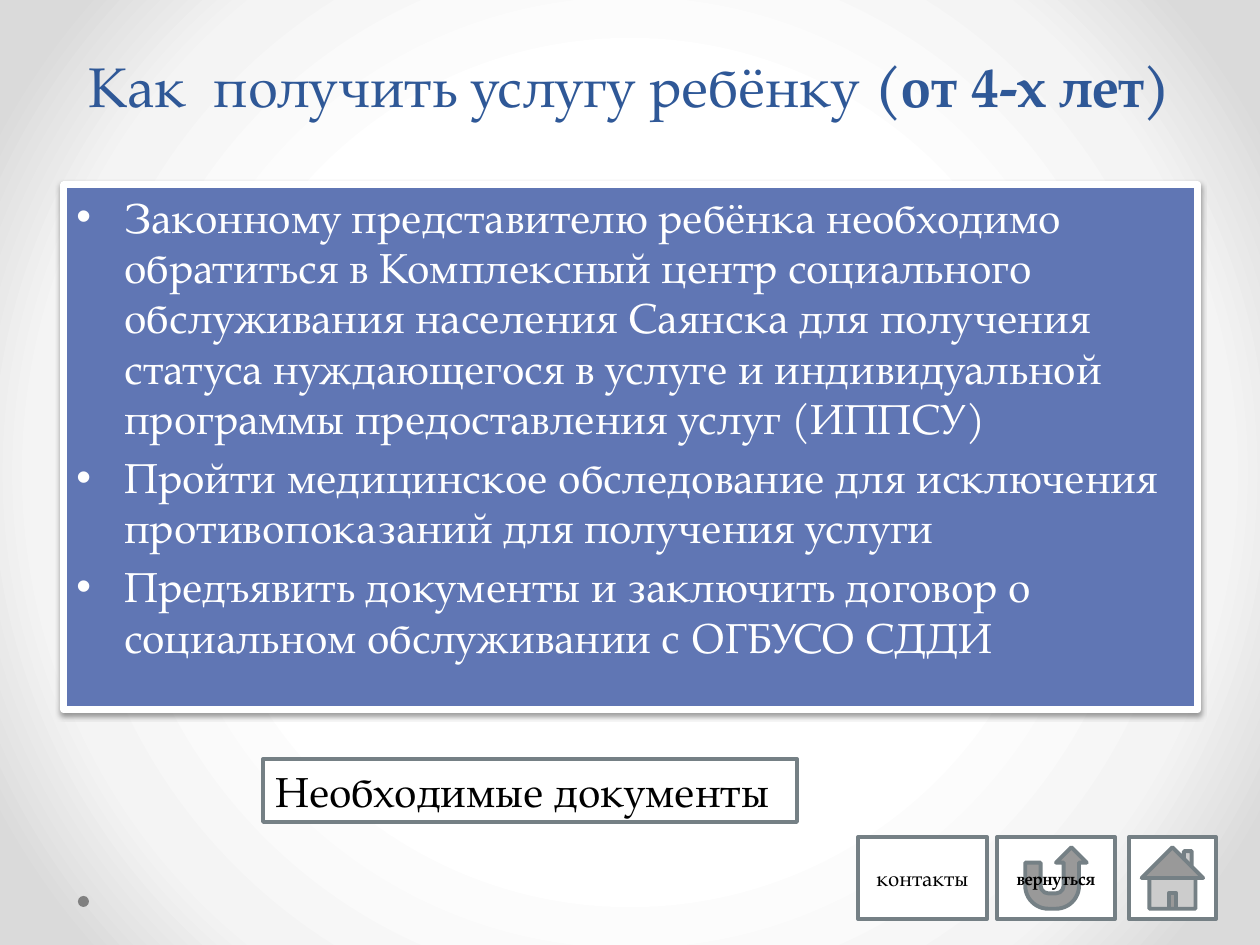
from lxml import etree
from pptx import Presentation
from pptx.dml.color import RGBColor
from pptx.enum.shapes import MSO_SHAPE as SHAPE
from pptx.enum.text import MSO_ANCHOR as ANCHOR, PP_ALIGN as ALIGN
from pptx.oxml import parse_xml
from pptx.oxml.ns import nsdecls, qn
from pptx.util import Emu, Pt

SCALE = 914400 / 126
FONT = "TeX Gyre Pagella"
WHITE = RGBColor(0xFF, 0xFF, 0xFF)
BLACK = RGBColor(0, 0, 0)
NAVY = RGBColor(0x2F, 0x58, 0x97)
BLUE = RGBColor(0x60, 0x76, 0xB4)
SLATE = RGBColor(0x75, 0x80, 0x85)
GREY = RGBColor(0x80, 0x80, 0x80)
SILVER = RGBColor(0xF4, 0xF4, 0xF4)
ASH = RGBColor(0xDA, 0xDA, 0xDA)

STEPS = [
    "Законному представителю ребёнка необходимо обратиться в Комплексный центр "
    "социального обслуживания населения Саянска для получения статуса "
    "нуждающегося в услуге и индивидуальной программы предоставления услуг (ИППСУ)",
    "Пройти медицинское обследование для исключения противопоказаний "
    "для получения услуги",
    "Предъявить документы и заключить договор о социальном обслуживании "
    "с ОГБУСО СДДИ",
]


def px(n):
    return Emu(round(n * SCALE))


def set_background(s, stops):
    gs = "".join(
        f'<a:gs pos="{pos * 1000}"><a:srgbClr val="{color}"/></a:gs>'
        for pos, color in stops
    )
    bg = parse_xml(
        f'<p:bg {nsdecls("p", "a")}><p:bgPr><a:gradFill rotWithShape="1">'
        f'<a:gsLst>{gs}</a:gsLst><a:path path="circle">'
        '<a:fillToRect l="50000" t="50000" r="50000" b="50000"/></a:path>'
        "</a:gradFill><a:effectLst/></p:bgPr></p:bg>"
    )
    s.element.cSld.insert(0, bg)


def add_box(s, kind, x, y, w, h, fill=WHITE, line=SLATE, width=2.25):
    sp = s.shapes.add_shape(kind, px(x), px(y), px(w), px(h))
    sp.shadow.inherit = False
    sp.fill.solid()
    sp.fill.fore_color.rgb = fill
    if line is None:
        sp.line.fill.background()
    else:
        sp.line.color.rgb = line
        sp.line.width = Pt(width)
    return sp


def add_shadow(sp):
    effects = sp.element.spPr.find(qn("a:effectLst"))
    effects.append(parse_xml(
        f'<a:outerShdw {nsdecls("a")} blurRad="40000" dist="20000" '
        'dir="5400000" rotWithShape="0"><a:srgbClr val="000000">'
        '<a:alpha val="38000"/></a:srgbClr></a:outerShdw>'
    ))


def add_run(p, text, size=24, color=BLACK, bold=False):
    r = p.add_run()
    r.text = text
    r.font.name = FONT
    r.font.size = Pt(size)
    r.font.color.rgb = color
    r.font.bold = bold


def set_text(sp, text, align=ALIGN.CENTER, anchor=ANCHOR.MIDDLE, **font):
    tf = sp.text_frame
    tf.word_wrap = True
    tf.vertical_anchor = anchor
    p = tf.paragraphs[0]
    p.alignment = align
    add_run(p, text, **font)
    return p


def add_title(s):
    sp = s.shapes.add_textbox(px(63), px(0), px(1134), px(125))
    p = set_text(sp, "Как  получить услугу ребёнку ", anchor=ANCHOR.BOTTOM,
                 size=32, color=NAVY)
    p.line_spacing = Pt(58)
    add_run(p, "(от 4-х лет)", size=32, color=NAVY, bold=True)


def add_steps(s):
    sp = add_box(s, SHAPE.RECTANGLE, 64, 185, 1134, 525, BLUE, WHITE, 4)
    add_shadow(sp)
    tf = sp.text_frame
    tf.word_wrap = True
    tf.vertical_anchor = ANCHOR.TOP
    for i, step in enumerate(STEPS):
        p = tf.add_paragraph() if i else tf.paragraphs[0]
        p.alignment = ALIGN.LEFT
        p.space_before = Pt(4.8)
        add_run(p, step, color=WHITE)
        pPr = p._p.get_or_add_pPr()
        pPr.set("marL", str(px(48)))
        pPr.set("indent", str(-px(48)))
        etree.SubElement(pPr, qn("a:buFont")).set("typeface", "Arial")
        etree.SubElement(pPr, qn("a:buChar")).set("char", "•")


def main():
    prs = Presentation()
    prs.slide_width, prs.slide_height = px(1260), px(945)
    s = prs.slides.add_slide(prs.slide_layouts[6])
    set_background(s, [(50, WHITE), (76, SILVER), (92, ASH)])
    add_box(s, SHAPE.OVAL, 78, 896, 11, 11, GREY, None)
    add_title(s)
    add_steps(s)

    back = add_box(s, SHAPE.ACTION_BUTTON_RETURN, 997, 837, 118, 82)
    set_text(back, "вернуться", size=10, bold=True)
    add_box(s, SHAPE.ACTION_BUTTON_HOME, 1129, 837, 87, 82)
    contacts = add_box(s, SHAPE.ACTION_BUTTON_CUSTOM, 858, 837, 129, 82)
    set_text(contacts, "контакты", size=12)
    documents = add_box(s, SHAPE.RECTANGLE, 263, 759, 534, 63)
    set_text(documents, "Необходимые документы", ALIGN.LEFT, ANCHOR.TOP)
    prs.save("out.pptx")


if __name__ == "__main__":
    main()
